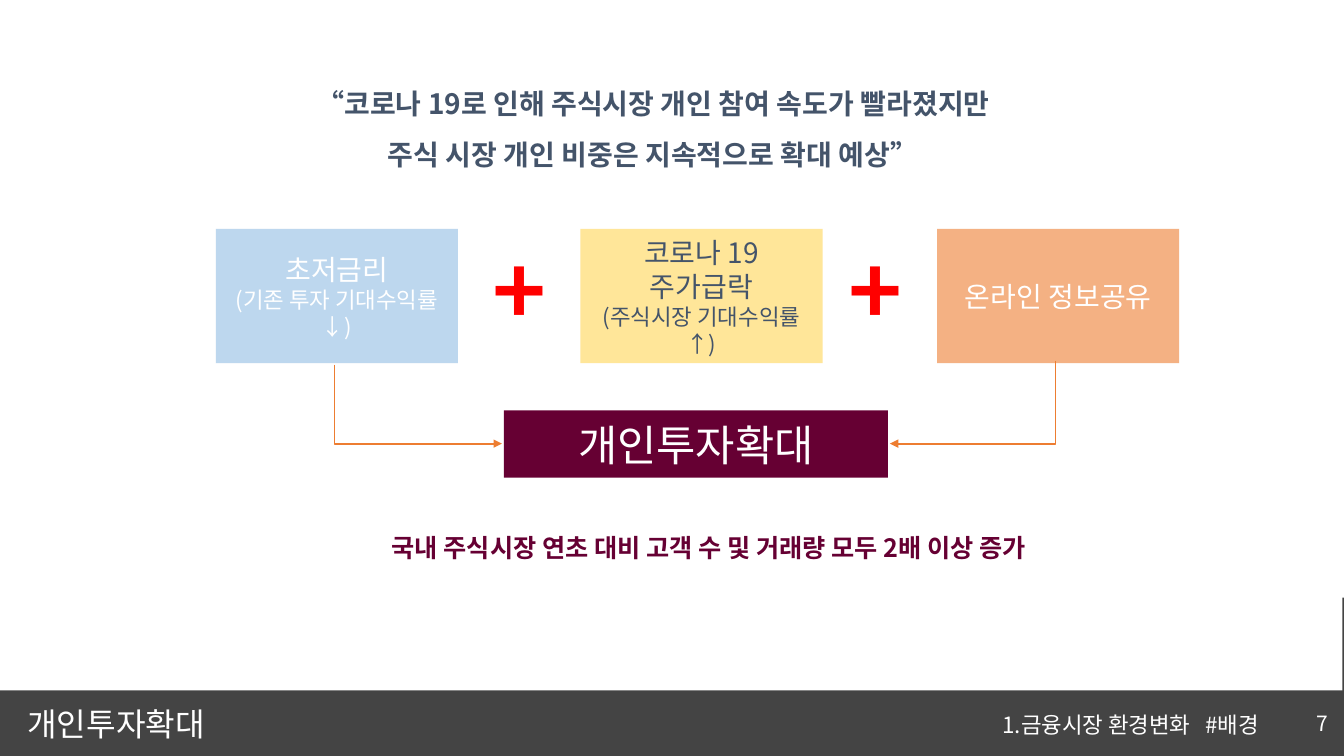
"""Build the slide on growing individual investment."""
import dataclasses

import lxml.etree
import pptx
import pptx.dml.color
import pptx.enum.dml
import pptx.enum.shapes
import pptx.enum.text
import pptx.oxml.ns
import pptx.util

Cm = pptx.util.Cm
Pt = pptx.util.Pt
ALIGN = pptx.enum.text.PP_ALIGN
FIT = pptx.enum.text.MSO_AUTO_SIZE
KIND = pptx.enum.shapes.MSO_SHAPE
qn = pptx.oxml.ns.qn


@dataclasses.dataclass(frozen=True)
class Theme:
    """Hold the font, colours and type sizes."""
    font: str = "Noto Sans CJK KR"
    white: str = "FFFFFF"
    dark: str = "262626"
    slate: str = "44546A"
    wine: str = "660033"
    red: str = "FF0000"
    blue: str = "BDD7EE"
    yellow: str = "FFE699"
    peach: str = "F4B183"
    orange: str = "ED7D31"
    page: float = 15
    note: float = 16
    claim: float = 18
    body: float = 20
    title: float = 23
    result: float = 30.5
    plus: float = 65.4


T = Theme()


def tint(color):
    """Turn a hex string into a colour."""
    return pptx.dml.color.RGBColor.from_string(color)


def write(frame, lines, color, align=ALIGN.CENTER, bold=False, space=None, track=None):
    """Fill a text frame with lines given as (text, size) pairs."""
    for i, (text, size) in enumerate(lines):
        para = frame.paragraphs[0] if i == 0 else frame.add_paragraph()
        para.alignment = align
        if space:
            para.line_spacing = space
        run = para.add_run()
        run.text = text
        run.font.size = Pt(size)
        run.font.bold = bold
        run.font.color.rgb = tint(color)
        run.font.name = T.font
        props = run.font._element
        lxml.etree.SubElement(props, qn("a:ea"), typeface=T.font)
        if track is not None:
            props.set("spc", str(track))


def label(slide, area, lines, color, middle=False, grow=False, wrap=True, pad=(0.25, 0.13), **style):
    """Add a text box."""
    frame = slide.shapes.add_textbox(*map(Cm, area)).text_frame
    frame.word_wrap = wrap
    frame.auto_size = FIT.SHAPE_TO_FIT_TEXT if grow else FIT.NONE
    frame.margin_left = frame.margin_right = Cm(pad[0])
    frame.margin_top = frame.margin_bottom = Cm(pad[1])
    if middle:
        frame.vertical_anchor = pptx.enum.text.MSO_ANCHOR.MIDDLE
    write(frame, lines, color, **style)


def block(slide, area, fill, lines=(), color=T.white, alpha=None):
    """Add a plain filled rectangle with centred text."""
    shape = slide.shapes.add_shape(KIND.RECTANGLE, *map(Cm, area))
    shape.shadow.inherit = False
    shape.fill.solid()
    shape.fill.fore_color.rgb = tint(fill)
    shape.line.fill.background()
    if alpha:
        hue = shape._element.spPr.find(qn("a:solidFill"))[0]
        lxml.etree.SubElement(hue, qn("a:alpha"), val=str(alpha * 1000))
    frame = shape.text_frame
    frame.word_wrap = True
    frame.vertical_anchor = pptx.enum.text.MSO_ANCHOR.MIDDLE
    write(frame, lines, color)


def elbow(slide, start, end):
    """Add an arrow that drops first and then runs sideways."""
    kind = pptx.enum.shapes.MSO_CONNECTOR.ELBOW
    link = slide.shapes.add_connector(kind, *map(Cm, start + end))
    link.line.color.rgb = tint(T.orange)
    link.line.width = Pt(1.25)
    props = link._element.spPr
    bends = props.find(qn("a:prstGeom")).get_or_add_avLst()
    lxml.etree.SubElement(bends, qn("a:gd"), name="adj1", fmla="val 0")
    lxml.etree.SubElement(link.line._get_or_add_ln(), qn("a:tailEnd"), type="triangle")
    lxml.etree.SubElement(props, qn("a:effectLst"))


def footer(slide):
    """Add the backdrop and the footer texts."""
    block(slide, (0, 15.06, 33.87, 3.99), T.dark, alpha=86)
    block(slide, (0, 0, 33.83, 17.4), T.white)
    label(slide, (32.31, 17.7, 1.45, 1.02), [("7", T.page)], T.white,
          middle=True, pad=(0.3, 0.15), align=ALIGN.RIGHT)
    label(slide, (0.36, 17.68, 22.22, 1.22), [("개인투자확대", T.title)], T.white,
          middle=True, pad=(0.33, 0.18), align=ALIGN.LEFT, space=0.9)
    label(slide, (18.9, 17.7, 13.08, 1.19), [("1.금융시장 환경변화   #배경", T.note)],
          T.white, middle=True, align=ALIGN.RIGHT, space=0.9)


def main():
    """Build and save the slide."""
    deck = pptx.Presentation()
    deck.slide_width, deck.slide_height = Cm(33.87), Cm(19.05)
    slide = deck.slides.add_slide(deck.slide_layouts[6])
    footer(slide)

    quote = [("“코로나 19로 인해 주식시장 개인 참여 속도가 빨라졌지만", T.body),
             ("주식 시장 개인 비중은 지속적으로 확대 예상”", T.body)]
    label(slide, (1.65, 1.63, 29.62, 2.82), quote, T.slate, grow=True, bold=True, space=1.5)
    claim = [("국내 주식시장 연초 대비 고객 수 및 거래량 모두 2배 이상 증가", T.claim)]
    label(slide, (3.05, 12.9, 29.62, 1.3), claim, T.wine, grow=True, bold=True, space=1.5)

    top = 5.77
    causes = [
        (5.44, T.blue, T.white, [("초저금리", T.body), ("(기존 투자 기대수익률↓)", T.note)]),
        (14.63, T.yellow, T.slate,
         [("코로나 19 주가급락", T.body), ("(주식시장 기대수익률↑)", T.note)]),
        (23.62, T.peach, T.white, [("온라인 정보공유", T.body)]),
    ]
    for left, fill, color, lines in causes:
        block(slide, (left, top, 6.1, 3.38), fill, lines, color)
    for left in (12.17, 21.13):
        label(slide, (left, top, 1.85, 3.05), [("+", T.plus)], T.red,
              grow=True, wrap=False, bold=True, track=-80)

    block(slide, (12.7, 10.34, 9.68, 1.7), T.wine, [("개인투자확대", T.result)])
    elbow(slide, (8.43, 9.19), (12.65, 11.18))
    elbow(slide, (26.6, 9.09), (22.43, 11.18))
    deck.save("out.pptx")


if __name__ == "__main__":
    main()
